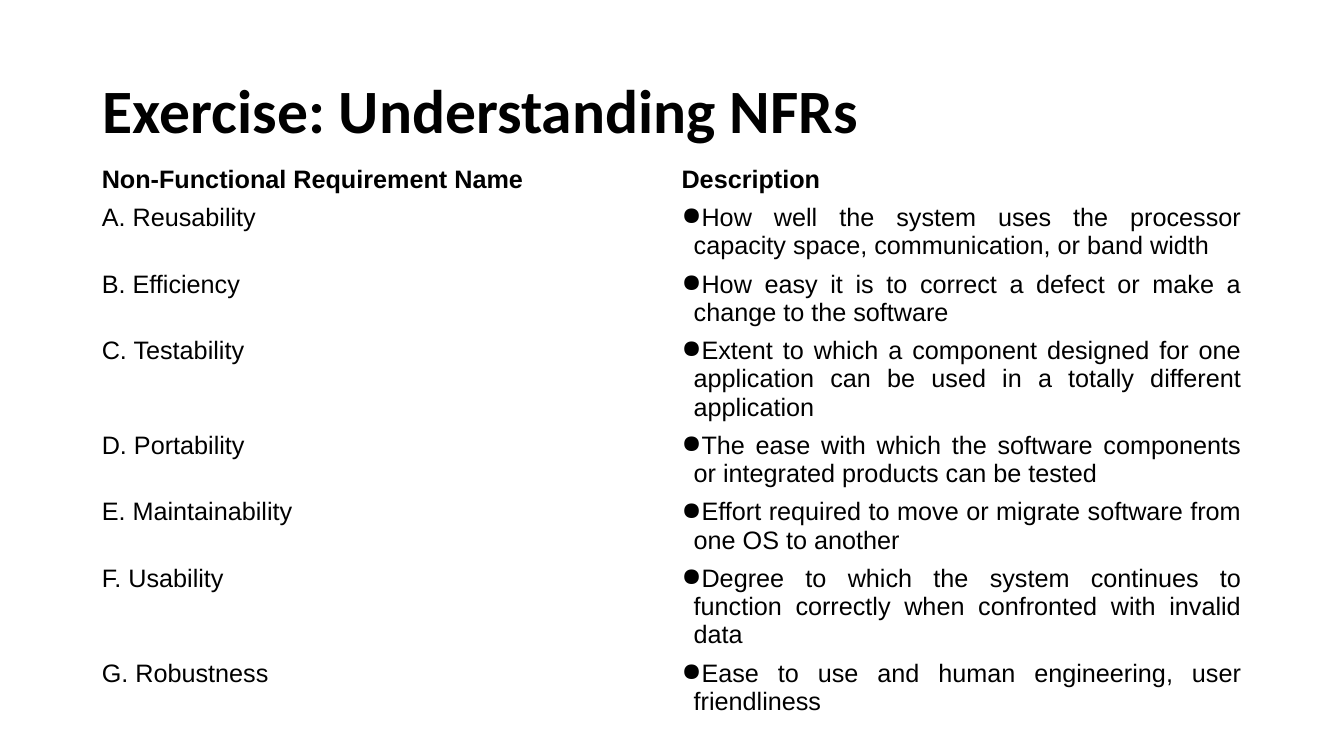
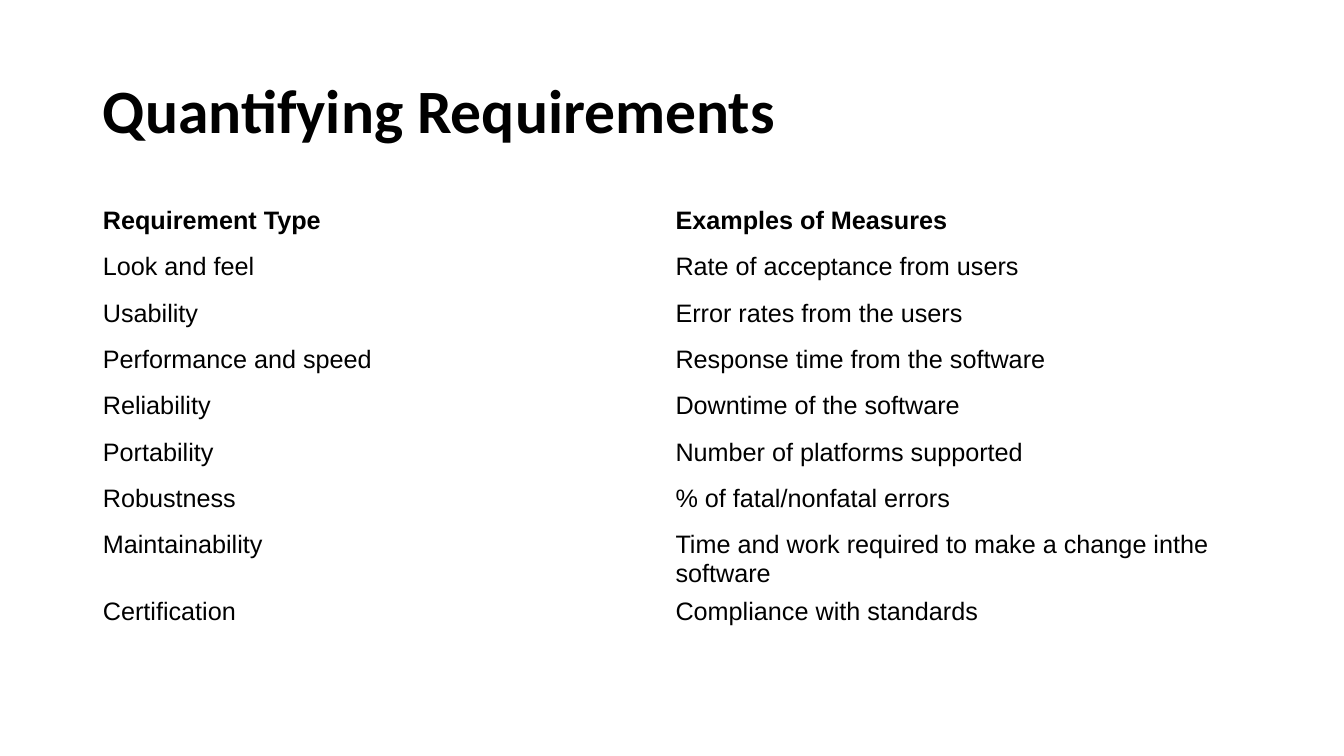
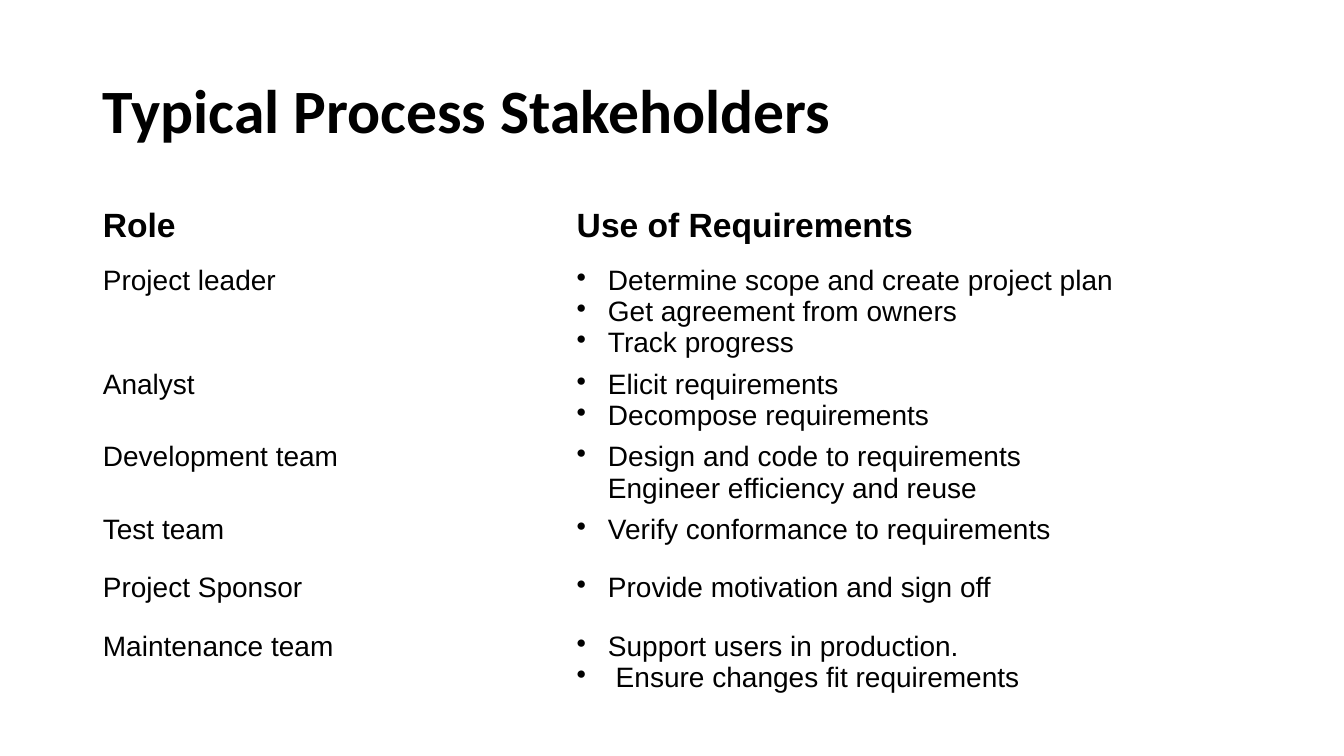
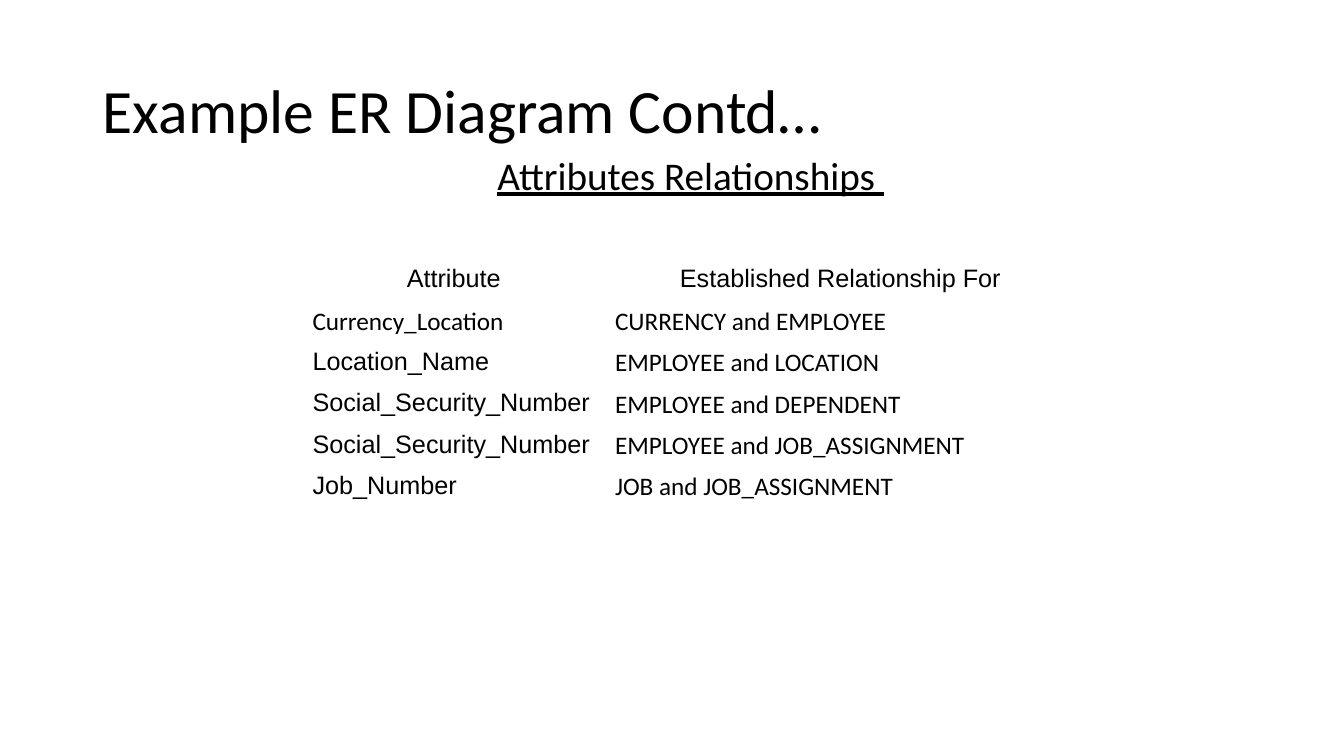
from lxml import etree
from pptx import Presentation
from pptx.dml.color import RGBColor
from pptx.enum.text import MSO_ANCHOR, MSO_AUTO_SIZE, PP_ALIGN
from pptx.oxml.ns import qn
from pptx.util import Inches, Pt

LEFT, CENTER, JUSTIFY = PP_ALIGN.LEFT, PP_ALIGN.CENTER, PP_ALIGN.JUSTIFY
MIDDLE, TOP = MSO_ANCHOR.MIDDLE, MSO_ANCHOR.TOP
NO_FIT = MSO_AUTO_SIZE.NONE
BLACK = "000000"
HEADING_FONT, TABLE_FONT = "Calibri", "Arial"
TITLE_ONLY, TITLE_AND_BODY = 5, 1

deck = Presentation()
deck.slide_width, deck.slide_height = Inches(13.33), Inches(7.5)


def style(para, font, size, bold=False, align=LEFT, color=BLACK):
    para.alignment = align
    para.font.name = font
    para.font.size = Pt(size)
    para.font.bold = bold
    para.font.color.rgb = RGBColor.from_string(color)


def set_bullet(para, mark=None, margin=0, indent=0):
    properties = para._p.get_or_add_pPr()
    properties.set("marL", str(Inches(margin)))
    properties.set("indent", str(Inches(indent)))
    if mark:
        etree.SubElement(properties, qn("a:buChar")).set("char", mark)
    else:
        etree.SubElement(properties, qn("a:buNone"))


pages = [
    {
        "title": "Exercise: Understanding NFRs",
        "left": 0.91, "top": 1.59,
        "columns": [5.75, 5.75],
        "heights": [0.32, 0.57, 0.57, 0.81, 0.57, 0.57, 0.57, 0.57],
        "align": JUSTIFY,
        "bullet": ("●", 0.12, -0.38),
        "rows": [
            ("Non-Functional Requirement Name", "Description"),
            ("A. Reusability", "How well the system uses the processor capacity space, communication, or band width"),
            ("B. Efficiency", "How easy it is to correct a defect or make a change to the software"),
            ("C. Testability", "Extent to which a component designed for one application can be used in a totally different application"),
            ("D. Portability", "The ease with which the software components or integrated products can be tested"),
            ("E. Maintainability", "Effort required to move or migrate software from one OS to another"),
            ("F. Usability", "Degree to which the system continues to function correctly when confronted with invalid data"),
            ("G. Robustness", "Ease to use and human engineering, user friendliness"),
        ],
    },
    {
        "title": "Quantifying Requirements",
        "left": 0.92, "top": 2,
        "columns": [5.68, 5.68],
        "heights": [0.46] * 7 + [0.66, 0.46],
        "rows": [
            ("Requirement Type", "Examples of Measures"),
            ("Look and feel", "Rate of acceptance from users"),
            ("Usability", "Error rates from the users"),
            ("Performance and speed", "Response time from the software"),
            ("Reliability", "Downtime of the software"),
            ("Portability", "Number of platforms supported"),
            ("Robustness", "% of fatal/nonfatal errors"),
            ("Maintainability", "Time and work required to make a change inthe software"),
            ("Certification", "Compliance with standards"),
        ],
    },
    {
        "title": "Typical Process Stakeholders",
        "left": 0.92, "top": 2,
        "columns": [4.7, 6.62],
        "heights": [0.58, 1, 0.7, 0.7, 0.58, 0.58, 0.7],
        "sizes": (24, 20),
        "bullet": ("•", 0.31, -0.31),
        "rows": [
            ("Role", "Use of Requirements"),
            ("Project leader", "Determine scope and create project plan\nGet agreement from owners\nTrack progress"),
            ("Analyst", "Elicit requirements\nDecompose requirements"),
            ("Development team", "Design and code to requirements\vEngineer efficiency and reuse"),
            ("Test team", "Verify conformance to requirements"),
            ("Project Sponsor", "Provide motivation and sign off"),
            ("Maintenance team", "Support users in production.\n Ensure changes fit requirements"),
        ],
    },
    {
        "title": "Example ER Diagram Contd…",
        "subtitle": "Attributes Relationships ",
        "left": 3, "top": 2.58,
        "columns": [3, 4.67],
        "heights": [0.41] * 6,
        "bold": False,
        "header_align": CENTER,
        "calibri_cells": {(1, 0)} | {(row, 1) for row in range(1, 6)},
        "rows": [
            ("Attribute", "Established Relationship For"),
            ("Currency_Location", "CURRENCY and EMPLOYEE"),
            ("Location_Name", "EMPLOYEE and LOCATION"),
            ("Social_Security_Number", "EMPLOYEE and DEPENDENT"),
            ("Social_Security_Number", "EMPLOYEE and JOB_ASSIGNMENT"),
            ("Job_Number", "JOB and JOB_ASSIGNMENT"),
        ],
    },
]

for content in pages:
    subtitle = content.get("subtitle")
    bold = content.get("bold", True)
    page = deck.slides.add_slide(deck.slide_layouts[TITLE_AND_BODY if subtitle else TITLE_ONLY])

    headings = [(page.shapes.title, content["title"], (0.92, 0.4, 11.5, 1.45), 44, bold, LEFT, MIDDLE)]
    if subtitle:
        headings.append((page.placeholders[1], subtitle, (2.75, 1.5, 8.2, 0.67), 28, False, CENTER, TOP))
    for box, text, place, size, heavy, align, anchor in headings:
        box.left, box.top, box.width, box.height = [Inches(length) for length in place]
        frame = box.text_frame
        frame.text = text
        frame.word_wrap = True
        frame.auto_size = NO_FIT
        frame.vertical_anchor = anchor
        para = frame.paragraphs[0]
        para.line_spacing = 0.9
        para.space_before = Pt(0)
        set_bullet(para)
        style(para, HEADING_FONT, size, heavy, align)
    if subtitle:
        para.font.underline = True

    rows, columns, heights = content["rows"], content["columns"], content["heights"]
    table = page.shapes.add_table(
        len(rows), len(columns), Inches(content["left"]), Inches(content["top"]),
        Inches(sum(columns)), Inches(sum(heights))).table
    table.first_row = False
    table.horz_banding = False
    for column, width in zip(table.columns, columns):
        column.width = Inches(width)

    header_size, text_size = content.get("sizes", (18, 18))
    text_align = content.get("align", LEFT)
    header_align = content.get("header_align", text_align)
    for row_number, texts in enumerate(rows):
        table.rows[row_number].height = Inches(heights[row_number])
        is_header = row_number == 0
        for column_number, text in enumerate(texts):
            cell = table.cell(row_number, column_number)
            cell.fill.background()
            cell.text_frame.text = text
            in_calibri = (row_number, column_number) in content.get("calibri_cells", ())
            for para in cell.text_frame.paragraphs:
                if column_number == 1 and not is_header and "bullet" in content:
                    set_bullet(para, *content["bullet"])
                style(para, HEADING_FONT if in_calibri else TABLE_FONT,
                      header_size if is_header else text_size,
                      is_header and bold,
                      header_align if is_header else text_align)

deck.save("out.pptx")
